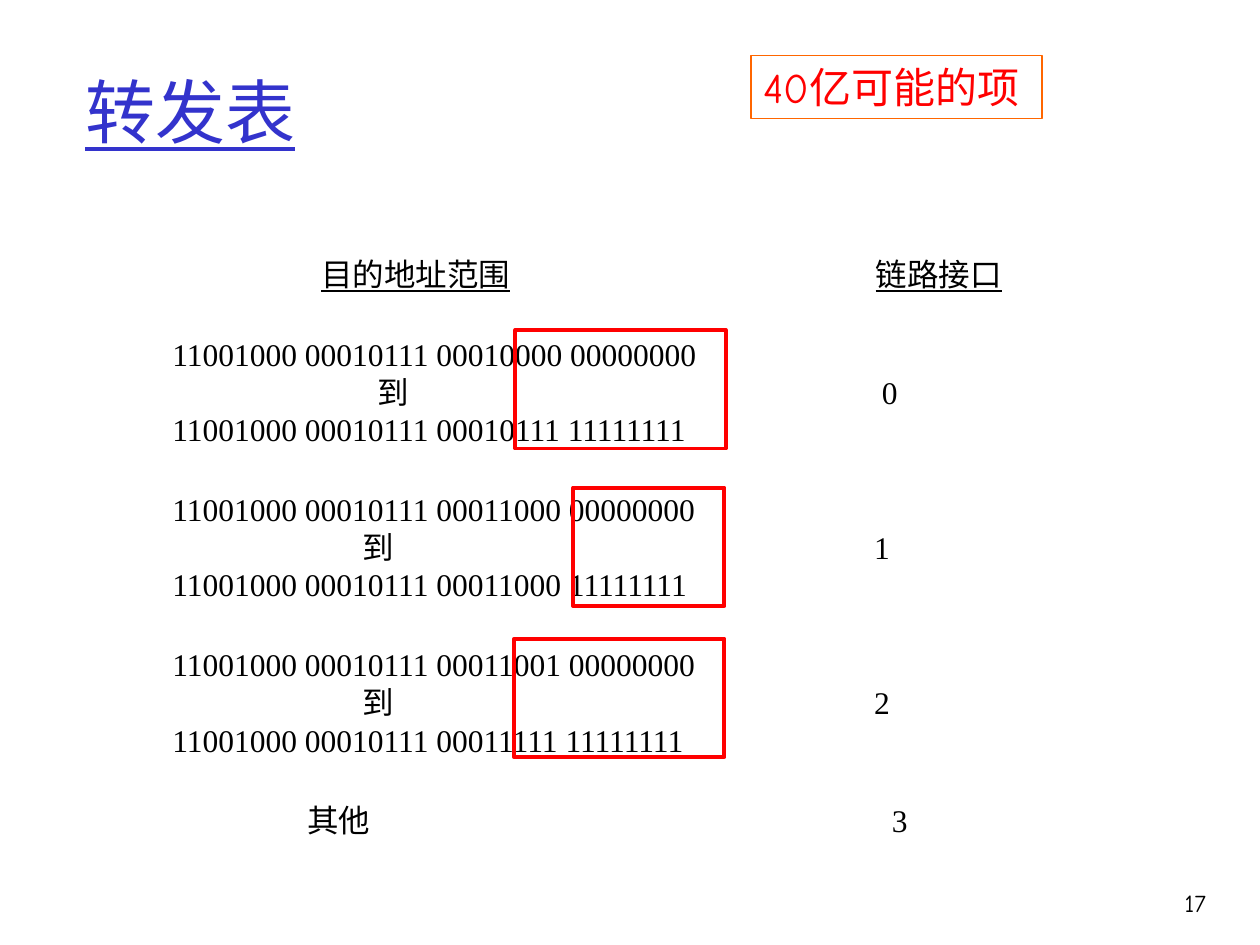
from dataclasses import dataclass

from lxml.etree import SubElement
from pptx import Presentation
from pptx.dml.color import RGBColor as RGB
from pptx.enum.shapes import MSO_SHAPE as SHAPE
from pptx.enum.text import MSO_ANCHOR as ANCHOR, PP_ALIGN as ALIGN
from pptx.oxml.ns import qn
from pptx.util import Inches, Pt


@dataclass(frozen=True)
class Theme:
    serif: str = "Times New Roman"
    hand: str = "Comic Neue"
    title: RGB = RGB(0x33, 0x33, 0xCC)
    ink: RGB = RGB(0, 0, 0)
    red: RGB = RGB(0xFF, 0, 0)
    orange: RGB = RGB(0xFF, 0x66, 0)
    title_size: Pt = Pt(40)
    callout_size: Pt = Pt(24)
    body_size: Pt = Pt(18)
    number_size: Pt = Pt(14)
    line_step: Pt = Pt(21.5)
    group_gap: Pt = Pt(24.25)


T = Theme()
BODY = dict(name=T.serif, size=T.body_size, color=T.ink)
ADDRESS_TAB = 0.56

# Start address, end address, tab stops of the middle line
RANGES = [
    ("11001000 00010111 00010000 00000000",
     "11001000 00010111 00010111 11111111", (2.19, 6.19)),
    ("11001000 00010111 00011000 00000000",
     "11001000 00010111 00011000 11111111", (2.07, 6.13)),
    ("11001000 00010111 00011001 00000000",
     "11001000 00010111 00011111 11111111", (2.07, 6.13)),
]
# Left, top and width of the frame round the varying bits
FRAMES = [(4.09, 2.62, 1.67), (4.55, 3.87, 1.2), (4.08, 5.07, 1.67)]
FRAME_HEIGHT = 0.94


def add_run(p, text, color, **fmt):
    r = p.add_run()
    r.text = text
    r.font.color.rgb = color
    for key, value in fmt.items():
        setattr(r.font, key, value)


def add_box(s, box, text=None, anchor=ANCHOR.TOP, align=ALIGN.LEFT, **fmt):
    sp = s.shapes.add_textbox(*map(Inches, box))
    tf = sp.text_frame
    tf.word_wrap = True
    tf.vertical_anchor = anchor
    if text:
        tf.paragraphs[0].alignment = align
        add_run(tf.paragraphs[0], text, **fmt)
    return tf


def add_frame(s, box, color, width):
    sp = s.shapes.add_shape(SHAPE.RECTANGLE, *map(Inches, box))
    sp.shadow.inherit = False
    sp.fill.background()
    sp.line.color.rgb = color
    sp.line.width = Pt(width)
    return sp


def add_callout(s, box, text):
    tf = add_frame(s, box, T.orange, 0.75).text_frame
    tf.word_wrap = False
    tf.vertical_anchor = ANCHOR.TOP
    p = tf.paragraphs[0]
    p.alignment = ALIGN.LEFT
    add_run(p, text, T.red, name=T.hand, size=T.callout_size)


def add_line(tf, cells, stops, gap=0, underline=False):
    """Add one line of text with each cell at its own tab stop."""
    p = tf.paragraphs[0]
    if p.runs:
        p = tf.add_paragraph()
        p.space_before = gap
    p.line_spacing = T.line_step
    tabs = SubElement(p._p.get_or_add_pPr(), qn("a:tabLst"))
    for stop in stops:
        SubElement(tabs, qn("a:tab"), pos=str(Inches(stop)), algn="l")
    for cell in cells:
        add_run(p, "\t", **BODY)
        add_run(p, cell, underline=underline, **BODY)


def add_forwarding_table(s, box):
    tf = add_box(s, box, anchor=ANCHOR.MIDDLE)
    add_line(tf, ("目的地址范围", "链路接口"), (1.74, 6.14), underline=True)
    for link, (first, last, stops) in enumerate(RANGES):
        add_line(tf, [first], [ADDRESS_TAB], gap=T.group_gap)
        add_line(tf, ("到", str(link)), stops)
        add_line(tf, [last], [ADDRESS_TAB])
    add_line(tf, ("其他", str(len(RANGES))), (1.63, 6.27), gap=T.group_gap)


def main():
    prs = Presentation()
    prs.slide_width, prs.slide_height = Inches(10), Inches(7.5)
    s = prs.slides.add_slide(prs.slide_layouts[6])
    add_box(s, (0.58, 0.25, 8.5, 1.25), "转发表", anchor=ANCHOR.MIDDLE,
            name=T.serif, size=T.title_size, color=T.title, underline=True)
    add_forwarding_table(s, (0.71, 1.97, 7.81, 4.74))
    add_callout(s, (5.96, 0.44, 2.31, 0.5), "40亿可能的项")
    for left, top, width in FRAMES:
        add_frame(s, (left, top, width, FRAME_HEIGHT), T.red, 2.25)
    add_box(s, (8.93, 7, 0.74, 0.5), "17", align=ALIGN.RIGHT,
            name=T.hand, size=T.number_size, color=T.ink)
    prs.save("out.pptx")


if __name__ == "__main__":
    main()
